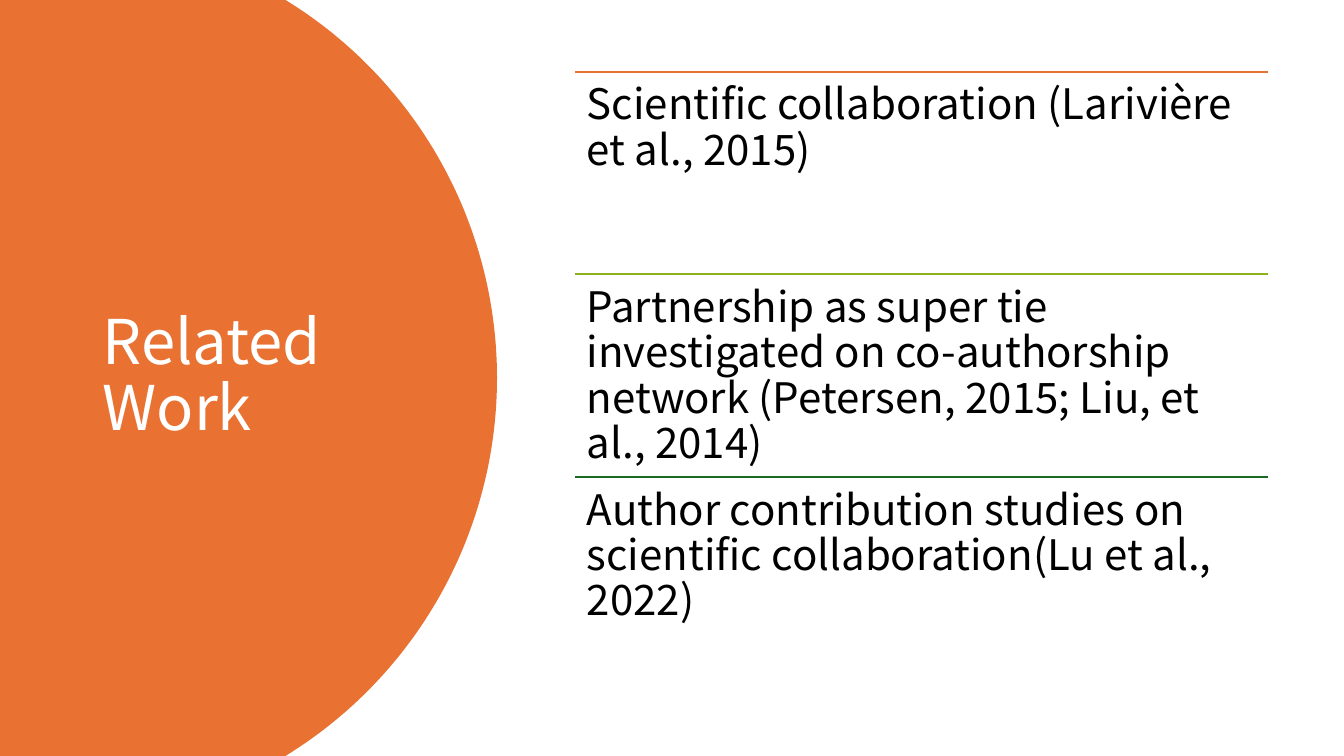
import math
from pptx import Presentation
from pptx.dml.color import RGBColor
from pptx.enum import shapes, text
from pptx.oxml.ns import qn
from pptx.util import Inches, Pt
from lxml import etree

FONT = "Noto Sans CJK SC"
COLORS = {
    "orange": "E97132",
    "lime": "8EB21E",
    "green": "196B24",
    "white": "FFFFFF",
    "black": "000000",
}


def add_text(s, box, words, size, color, inset, anchor):
    tf = s.shapes.add_textbox(*map(Inches, box)).text_frame
    tf.word_wrap = True
    tf.vertical_anchor = anchor
    tf.margin_left = tf.margin_right = Inches(inset)
    tf.margin_top = tf.margin_bottom = Inches(inset)
    p = tf.paragraphs[0]
    p.text = words
    p.line_spacing = 0.9
    p.font.name = FONT
    p.font.size = Pt(size)
    p.font.color.rgb = RGBColor.from_string(COLORS[color])


prs = Presentation()
prs.slide_width, prs.slide_height = Inches(13.33), Inches(7.5)
s = prs.slides.add_slide(prs.slide_layouts[6])

center_x, center_y, radius = 0.53, 3.75, 4.4
half_angle = math.asin(center_y / radius)
steps = 120
arc = []
for i in range(steps + 1):
    angle = half_angle * (2 * i / steps - 1)
    arc.append((Inches(center_x + radius * math.cos(angle)),
                Inches(center_y + radius * math.sin(angle))))
builder = s.shapes.build_freeform(0, 0)
builder.add_line_segments(arc + [(0, Inches(7.5))], close=True)
sp = builder.convert_to_shape()
sp.shadow.inherit = False
sp.fill.solid()
sp.fill.fore_color.rgb = RGBColor.from_string(COLORS["orange"])
sp.line.fill.background()

add_text(s, (0.92, 0.7, 3.23, 6.09), "Related Work", 44, "white", 0.1,
         text.MSO_ANCHOR.MIDDLE)

topics = [
    ("orange", "Scientific collaboration (Larivière et al., 2015)"),
    ("lime", "Partnership as super tie investigated on co-authorship network "
             "(Petersen, 2015; Liu, et al., 2014)"),
    ("green", "Author contribution studies on scientific collaboration"
              "(Lu et al., 2022)"),
]
left, top, width, row_height = 5.7, 0.71, 6.88, 2.01
for i, (color, words) in enumerate(topics):
    y = top + i * row_height
    rule = s.shapes.add_connector(shapes.MSO_CONNECTOR.STRAIGHT, Inches(left),
                                  Inches(y), Inches(left + width), Inches(y))
    rule.line.color.rgb = RGBColor.from_string(COLORS[color])
    rule.line.width = Pt(1.5)
    etree.SubElement(rule._element.spPr, qn("a:effectLst"))
    add_text(s, (left, y, width, row_height), words, 30, "black", 0.12,
             text.MSO_ANCHOR.TOP)

prs.save("out.pptx")
